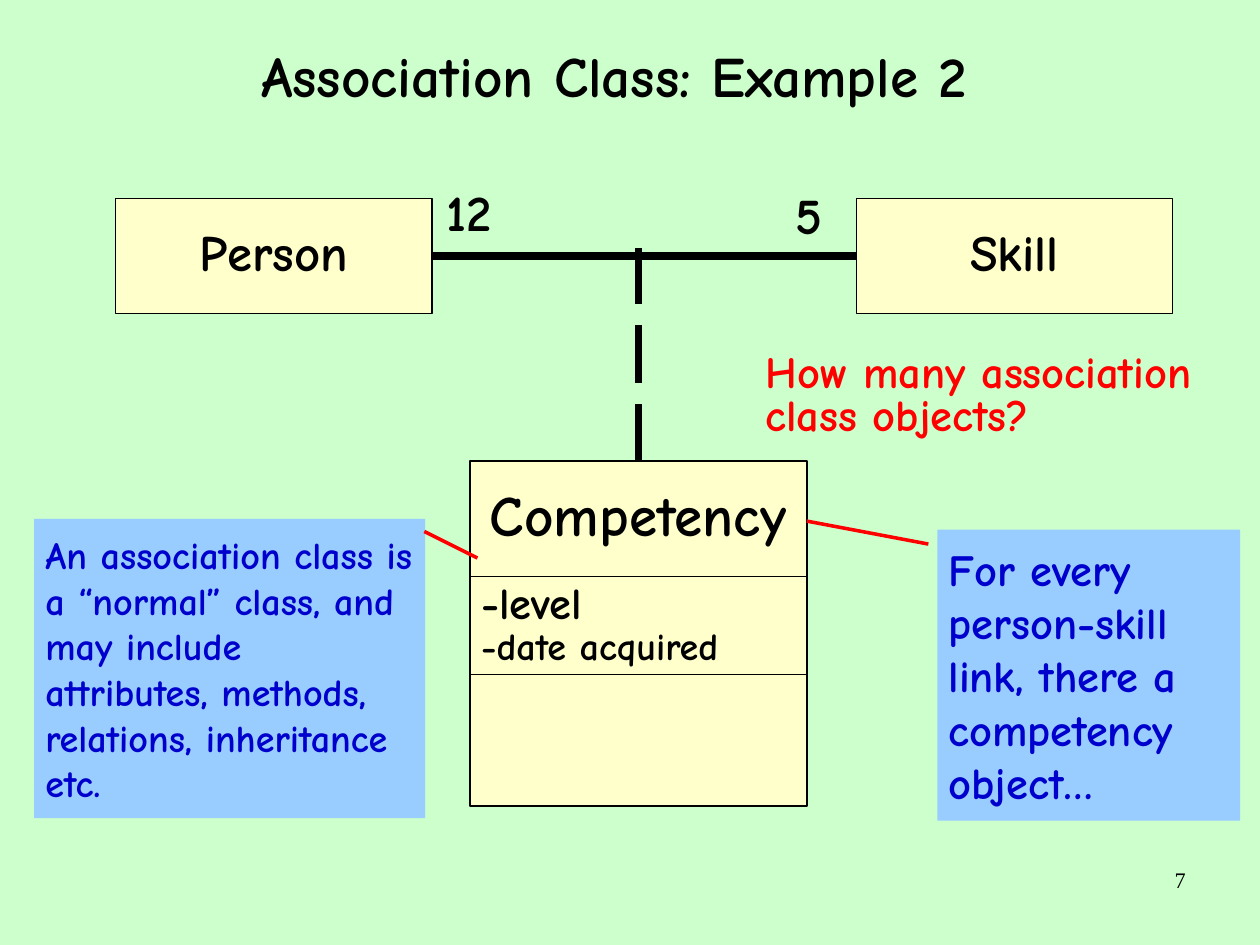
from dataclasses import dataclass

import pptx
import pptx.dml.color
import pptx.enum.dml
import pptx.enum.shapes
import pptx.enum.text
import pptx.util
from pptx.dml.color import RGBColor
from pptx.enum.text import MSO_ANCHOR, PP_ALIGN
from pptx.util import Cm, Pt

MINT = RGBColor(0xCC, 0xFF, 0xCC)
CREAM = RGBColor(0xFF, 0xFF, 0xCC)
SKY = RGBColor(0x99, 0xCC, 0xFF)
BLUE = RGBColor(0x00, 0x00, 0xCC)
RED = RGBColor(0xFF, 0x00, 0x00)
BLACK = RGBColor(0x00, 0x00, 0x00)

COMIC = "Comic Neue"
TIMES = "Times New Roman"


@dataclass
class Line:
    """One paragraph of text."""
    text: str
    size: float
    color: RGBColor = BLACK
    font: str = COMIC
    bold: bool = True


@dataclass
class Box:
    """A text area or filled rectangle; lengths are in centimetres."""
    left: float
    top: float
    width: float
    height: float
    lines: tuple[Line, ...] = ()
    fill: RGBColor | None = None
    outlined: bool = False
    align: PP_ALIGN = PP_ALIGN.LEFT
    anchor: MSO_ANCHOR = MSO_ANCHOR.MIDDLE
    spacing: float = 1.0
    wrap: bool = True


@dataclass
class Link:
    """A straight line; lengths are in centimetres."""
    x1: float
    y1: float
    x2: float
    y2: float
    color: RGBColor = BLACK
    width: float = 4.5
    dashed: bool = False


def draw_box(slide: pptx.slide.Slide, box: Box) -> None:
    place = Cm(box.left), Cm(box.top), Cm(box.width), Cm(box.height)
    if box.fill is None:
        shape = slide.shapes.add_textbox(*place)
    else:
        shape = slide.shapes.add_shape(
            pptx.enum.shapes.MSO_SHAPE.RECTANGLE, *place)
        shape.shadow.inherit = False
        shape.fill.solid()
        shape.fill.fore_color.rgb = box.fill
        if box.outlined:
            shape.line.color.rgb = BLACK
            shape.line.width = Pt(1)
        else:
            shape.line.fill.background()

    frame = shape.text_frame
    frame.word_wrap = box.wrap
    frame.vertical_anchor = box.anchor
    for index, line in enumerate(box.lines):
        paragraph = frame.add_paragraph() if index else frame.paragraphs[0]
        paragraph.text = line.text
        paragraph.alignment = box.align
        paragraph.line_spacing = box.spacing
        paragraph.font.name = line.font
        paragraph.font.size = Pt(line.size)
        paragraph.font.bold = line.bold
        paragraph.font.color.rgb = line.color


def draw_link(slide: pptx.slide.Slide, link: Link) -> None:
    connector = slide.shapes.add_connector(
        pptx.enum.shapes.MSO_CONNECTOR.STRAIGHT,
        Cm(link.x1), Cm(link.y1), Cm(link.x2), Cm(link.y2))
    connector.line.color.rgb = link.color
    connector.line.width = Pt(link.width)
    if link.dashed:
        connector.line.dash_style = pptx.enum.dml.MSO_LINE.LONG_DASH
    properties = connector._element.spPr
    properties.append(pptx.oxml.parse_xml(
        '<a:effectLst xmlns:a='
        '"http://schemas.openxmlformats.org/drawingml/2006/main"/>'))


def class_part(left: float, top: float, width: float, height: float,
               *lines: Line, align: PP_ALIGN = PP_ALIGN.CENTER) -> Box:
    """A cream compartment of a UML class."""
    return Box(left, top, width, height, lines, CREAM, True, align,
               spacing=0.87, wrap=False)


def multiplicity(left: float, top: float, width: float, count: str) -> Box:
    return Box(left, top, width, 1.63, (Line(count, 32),), MINT,
               anchor=MSO_ANCHOR.TOP)


CLASS_TOP, CLASS_WIDTH, NAME_HEIGHT = 4.41, 7.03, 2.56
PERSON_LEFT, SKILL_LEFT = 2.57, 19.03
ASSOCIATION_Y = CLASS_TOP + NAME_HEIGHT / 2
COMPETENCY_LEFT, COMPETENCY_TOP, COMPETENCY_WIDTH = 10.44, 10.25, 7.49
COMPETENCY_CENTER = COMPETENCY_LEFT + COMPETENCY_WIDTH / 2
ATTRIBUTES_TOP = COMPETENCY_TOP + NAME_HEIGHT
ATTRIBUTES_HEIGHT = 2.18
METHODS_TOP = ATTRIBUTES_TOP + ATTRIBUTES_HEIGHT

BOXES = (
    Box(25.4 - 5.33, 19.13, 6.53, 1.45,
        (Line("7", 14, font=TIMES, bold=False),),
        align=PP_ALIGN.RIGHT, anchor=MSO_ANCHOR.TOP),
    Box(1.7, 0, 23.9, 3.48, (Line("Association Class: Example 2", 36),),
        align=PP_ALIGN.CENTER, spacing=0.94),
    class_part(SKILL_LEFT, CLASS_TOP, CLASS_WIDTH, NAME_HEIGHT,
               Line("Skill", 32)),
    class_part(PERSON_LEFT, CLASS_TOP, CLASS_WIDTH, NAME_HEIGHT,
               Line("Person", 32)),
    class_part(COMPETENCY_LEFT, COMPETENCY_TOP, COMPETENCY_WIDTH, NAME_HEIGHT,
               Line("Competency", 36)),
    class_part(COMPETENCY_LEFT, ATTRIBUTES_TOP, COMPETENCY_WIDTH,
               ATTRIBUTES_HEIGHT, Line("-level", 28),
               Line("-date acquired", 24), align=PP_ALIGN.LEFT),
    class_part(COMPETENCY_LEFT, METHODS_TOP, COMPETENCY_WIDTH, 2.92),
    Box(0.76, 11.53, 8.69, 6.65,
        (Line("An association class is a “normal” class, and may include "
              "attributes, methods, relations, inheritance etc.", 24, BLUE),),
        SKY),
    Box(20.83, 11.77, 6.73, 6.47,
        (Line("For every person-skill link, there a competency object…",
              28, BLUE),), SKY),
    Box(16.76, 7.75, 11.25, 2.16,
        (Line("How many association class objects?", 28, RED),),
        anchor=MSO_ANCHOR.TOP, spacing=0.8),
    multiplicity(9.68, 3.89, 2.18, "12"),
    multiplicity(17.43, 3.96, 1.57, "5"),
)

LINKS = (
    Link(PERSON_LEFT + CLASS_WIDTH, ASSOCIATION_Y, SKILL_LEFT, ASSOCIATION_Y),
    Link(COMPETENCY_CENTER, COMPETENCY_TOP, COMPETENCY_CENTER, 5.5,
         dashed=True),
    Link(10.61, 12.4, 9.43, 11.81, RED, 2.25),
    Link(COMPETENCY_LEFT + COMPETENCY_WIDTH, 11.58, 20.63, 12.09, RED, 2.25),
)


def main() -> None:
    presentation = pptx.Presentation()
    presentation.slide_width = Cm(28)
    presentation.slide_height = Cm(21)
    slide = presentation.slides.add_slide(presentation.slide_layouts[6])
    slide.background.fill.solid()
    slide.background.fill.fore_color.rgb = MINT
    for box in BOXES:
        draw_box(slide, box)
    for link in LINKS:
        draw_link(slide, link)
    presentation.save("out.pptx")


if __name__ == "__main__":
    main()
